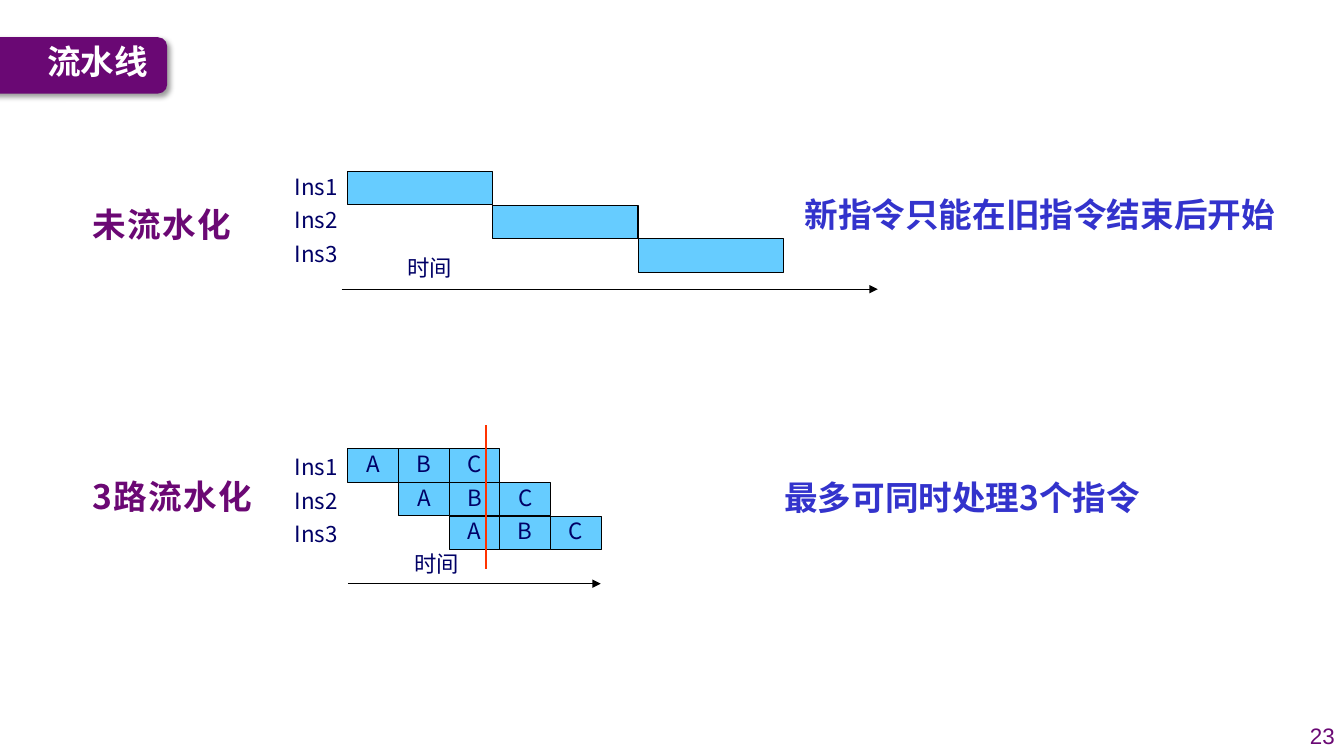
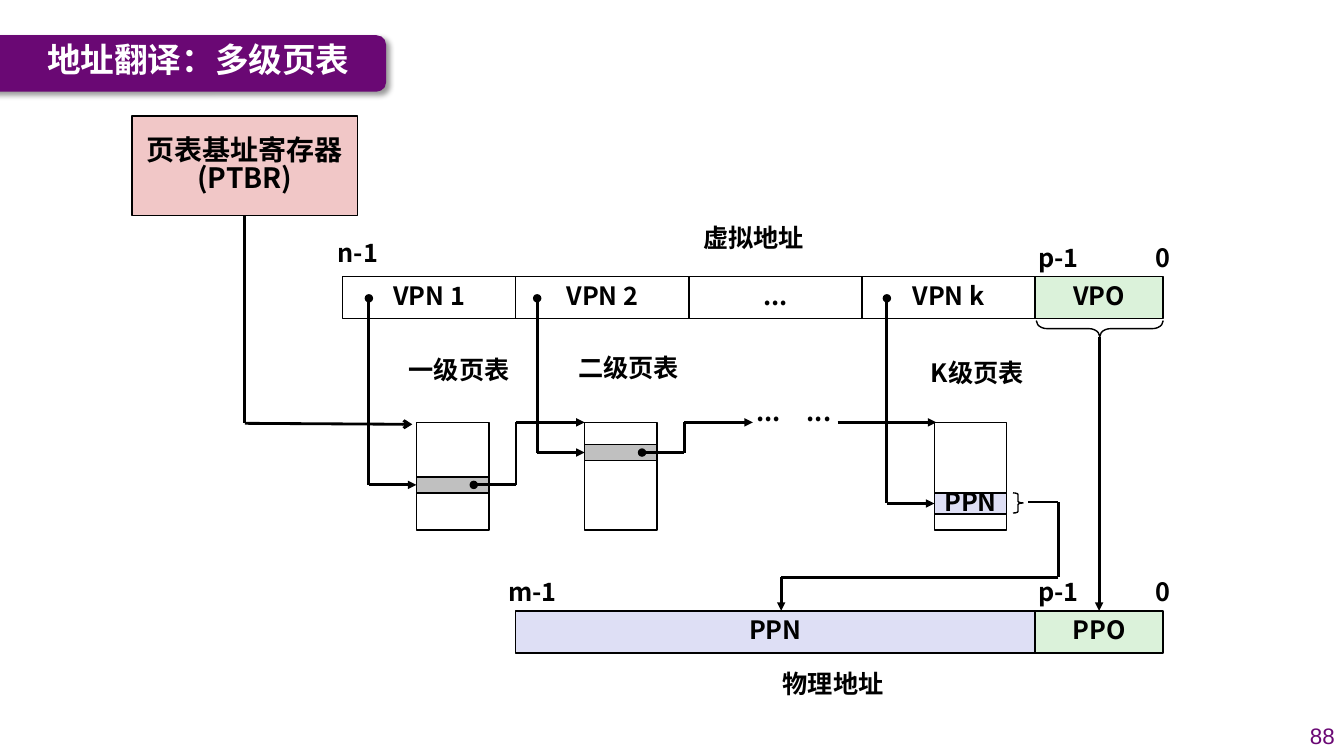
from dataclasses import dataclass
from itertools import pairwise
from typing import Optional

from pptx import Presentation
from pptx.dml.color import RGBColor
from pptx.enum.shapes import MSO_CONNECTOR, MSO_SHAPE
from pptx.enum.text import MSO_ANCHOR, PP_ALIGN
from pptx.oxml import parse_xml
from pptx.oxml.ns import nsdecls, qn
from pptx.oxml.xmlchemy import OxmlElement
from pptx.shapes.autoshape import Shape
from pptx.slide import Slide
from pptx.util import Pt

PURPLE = RGBColor(0x6A, 0x08, 0x74)
HEADING = RGBColor(0x6B, 0x08, 0x74)
WHITE = RGBColor(0xFF, 0xFF, 0xFF)
BLACK = RGBColor(0x00, 0x00, 0x00)
NAVY = RGBColor(0x00, 0x00, 0x66)
BLUE = RGBColor(0x33, 0x33, 0xCC)
SKY = RGBColor(0x66, 0xCC, 0xFF)
RED = RGBColor(0xFF, 0x33, 0x00)
PINK = RGBColor(0xF1, 0xC7, 0xC7)
GREEN = RGBColor(0xDB, 0xF2, 0xDA)
LAVENDER = RGBColor(0xDE, 0xDF, 0xF5)
GRAY = RGBColor(0xC0, 0xC0, 0xC0)
CJK = "Noto Sans CJK SC"
LATIN = "Arial"
CJK_LINE_SPACING = 0.85


@dataclass(frozen=True)
class Style:
    size: float
    color: RGBColor
    bold: bool = True
    align: PP_ALIGN = PP_ALIGN.CENTER
    anchor: MSO_ANCHOR = MSO_ANCHOR.MIDDLE
    wrap: bool = False
    font: str = CJK
    tracking: float = 0
    indent: float = 0


@dataclass(frozen=True)
class Box:
    left: float
    top: float
    width: float
    height: float

    @property
    def middle(self) -> float:
        return self.top + self.height / 2


@dataclass(frozen=True)
class Pipeline:
    heading: str
    heading_top: float
    remark: str
    remark_at: Box
    stages: tuple[str, ...]
    stage_width: float
    stage_top: float
    label_top: float
    axis_start: float
    axis_end: float
    axis_y: float
    time_at: Box


@dataclass(frozen=True)
class PageTable:
    caption: str
    caption_at: Box
    left: float
    entry_top: float
    entry_height: float
    entry_fill: RGBColor
    entry_text: str = ""


TITLE = Style(24, WHITE, align=PP_ALIGN.LEFT)
NUMBER = Style(16, PURPLE, bold=False, align=PP_ALIGN.RIGHT, font=LATIN)
STAGE = Style(16, NAVY, bold=False)
INSTRUCTION = Style(16, NAVY, bold=False, align=PP_ALIGN.RIGHT)
TIME = Style(16, NAVY, bold=False, anchor=MSO_ANCHOR.TOP)
SECTION = Style(24, HEADING, align=PP_ALIGN.LEFT, anchor=MSO_ANCHOR.TOP, wrap=True, tracking=1)
REMARK = Style(24, BLUE, align=PP_ALIGN.LEFT, anchor=MSO_ANCHOR.TOP, wrap=True, indent=36)
REGISTER = Style(20, BLACK, wrap=True)
ADDRESS = Style(18, BLACK)

AXIS_LEFT = 248.4
ROW_PITCH = 24.15
FIELD_LEFT, FIELD_PITCH, FIELD_HEIGHT = 244.8, 123.65, 30.2
OFFSET_LEFT, OFFSET_WIDTH = 739.4, 91.4
VIRTUAL_TOP, PHYSICAL_TOP = 197.3, 436.3
TABLE_TOP, TABLE_WIDTH, TABLE_HEIGHT = 301.7, 51.8, 77

PIPELINES = (
    Pipeline("未流水化", 146.9, "新指令只能在旧指令结束后开始", Box(531.4, 139.7, 404.6, 36),
             ("",), 103.7, 122.4, 122.4, 244, 627, 206.6, Box(283.7, 180.7, 46.8, 26.6)),
    Pipeline("3路流水化", 340.6, "最多可同时处理3个指令", Box(517, 341.3, 404.6, 36),
             ("A", "B", "C"), 36.2, 320.4, 322.6, 248.4, 429.1, 416.9,
             Box(288.7, 392.4, 46.8, 26.6)),
)

PAGE_TABLES = (
    PageTable("一级页表", Box(272.9, 247, 110.2, 36.7), 297.4, 340.6, 11.5, GRAY),
    PageTable("二级页表", Box(393.8, 245.5, 110.2, 36.7), 417.6, 317.5, 11.5, GRAY),
    PageTable("K级页表", Box(646.6, 249.1, 103, 36.7), 667.4, 352.1, 15.1, LAVENDER, "PPN"),
)


def write(shape: Shape, text: str, style: Style) -> None:
    frame = shape.text_frame
    frame.text = text
    frame.word_wrap = style.wrap
    frame.vertical_anchor = style.anchor
    frame.margin_left = Pt(7.2 + style.indent)
    paragraph = frame.paragraphs[0]
    paragraph.alignment = style.align
    if style.font == CJK:
        paragraph.line_spacing = CJK_LINE_SPACING
    for run in paragraph.runs:
        run.font.name = style.font
        run.font.size = Pt(style.size)
        run.font.bold = style.bold
        run.font.color.rgb = style.color
        properties = run.font._element
        east_asian = OxmlElement("a:ea")
        east_asian.set("typeface", style.font)
        properties.find(qn("a:latin")).addnext(east_asian)
        if style.tracking:
            properties.set("spc", str(int(style.tracking * 100)))


def add_label(slide: Slide, box: Box, text: str, style: Style) -> None:
    label = slide.shapes.add_textbox(Pt(box.left), Pt(box.top), Pt(box.width), Pt(box.height))
    write(label, text, style)


def add_block(slide: Slide, box: Box, fill: Optional[RGBColor] = None, line: float = 1,
              text: str = "", style: Style = ADDRESS,
              outline: MSO_SHAPE = MSO_SHAPE.RECTANGLE) -> Shape:
    block = slide.shapes.add_shape(outline, Pt(box.left), Pt(box.top), Pt(box.width), Pt(box.height))
    if fill is None:
        block.fill.background()
    else:
        block.fill.solid()
        block.fill.fore_color.rgb = fill
    if line:
        block.line.color.rgb = BLACK
        block.line.width = Pt(line)
    else:
        block.line.fill.background()
    block.shadow.inherit = False
    if text:
        write(block, text, style)
    return block


def add_route(slide: Slide, points: list[tuple[float, float]], width: float = 2,
              color: RGBColor = BLACK, head: str = "", tail: str = "",
              source: Optional[tuple[Shape, int]] = None,
              target: Optional[tuple[Shape, int]] = None) -> None:
    segments = list(pairwise(points))
    for index, (start, end) in enumerate(segments):
        first, last = index == 0, index == len(segments) - 1
        segment = slide.shapes.add_connector(
            MSO_CONNECTOR.STRAIGHT, *(Pt(value) for value in (*start, *end)))
        segment.line.color.rgb = color
        segment.line.width = Pt(width)
        properties = segment._element.spPr
        for tag, kind, wanted in (("a:headEnd", head, first), ("a:tailEnd", tail, last)):
            if kind and wanted:
                tip = OxmlElement(tag)
                tip.set("type", kind)
                properties.find(qn("a:ln")).append(tip)
        properties.append(OxmlElement("a:effectLst"))
        if source and first:
            segment.begin_connect(*source)
        if target and last:
            segment.end_connect(*target)


def add_frame(slide: Slide, title: str, tab: Box, title_width: float, number: str) -> None:
    banner = add_block(slide, tab, PURPLE, 0, outline=MSO_SHAPE.ROUNDED_RECTANGLE)
    banner._element.spPr.find(qn("a:effectLst")).append(parse_xml(
        f'<a:outerShdw {nsdecls("a")} blurRad="{Pt(4)}" dist="{Pt(3)}" dir="2700000" '
        'algn="tl" rotWithShape="0"><a:srgbClr val="000000"><a:alpha val="40000"/>'
        '</a:srgbClr></a:outerShdw>'))
    add_label(slide, Box(26.6, tab.top - 0.4, title_width, 39.6), title, TITLE)
    add_label(slide, Box(920.9, 511.2, 39.6, 28.8), number, NUMBER)


def add_pipeline(slide: Slide, pipeline: Pipeline) -> None:
    add_route(slide, [(pipeline.axis_start, pipeline.axis_y), (pipeline.axis_end, pipeline.axis_y)],
              width=1, tail="triangle")
    add_label(slide, pipeline.time_at, "时间", TIME)
    for row in range(3):
        drop = row * ROW_PITCH
        add_block(slide, Box(198.7, pipeline.label_top + drop, 49.7, 24), WHITE, 0,
                  f"Ins{row + 1}", INSTRUCTION)
        for column, stage in enumerate(pipeline.stages, start=row):
            left = AXIS_LEFT + column * pipeline.stage_width
            add_block(slide, Box(left, pipeline.stage_top + drop, pipeline.stage_width, 24),
                      SKY, 0.75, stage, STAGE)
    add_label(slide, Box(59, pipeline.heading_top, 131, 36), pipeline.heading, SECTION)
    add_label(slide, pipeline.remark_at, pipeline.remark, REMARK)


def add_page_table(slide: Slide, table: PageTable) -> None:
    add_block(slide, Box(table.left, TABLE_TOP, TABLE_WIDTH, TABLE_HEIGHT))
    place = Box(table.left, table.entry_top, TABLE_WIDTH, table.entry_height)
    entry = add_block(slide, place, table.entry_fill, text=table.entry_text)
    turn = table.left - 33.9
    add_route(slide, [(turn, 213.1), (turn, place.middle), (table.left, place.middle)],
              head="oval", tail="triangle", target=(entry, 1))
    if not table.entry_text:
        rise = table.left + 71.2
        add_route(slide, [(table.left + 41, place.middle), (rise, place.middle),
                          (rise, TABLE_TOP), (rise + 49, TABLE_TOP)],
                  head="oval", tail="triangle")
    add_label(slide, table.caption_at, table.caption, ADDRESS)


def build_pipeline_slide(slide: Slide) -> None:
    add_frame(slide, "流水线", Box(-56.2, 26.6, 175.7, 40.3), 90.7, "23")
    for pipeline in PIPELINES:
        add_pipeline(slide, pipeline)
    add_route(slide, [(347, 303.8), (347, 406.1)], width=1.5, color=RED)


def build_translation_slide(slide: Slide) -> None:
    register = add_block(slide, Box(94.3, 82.8, 161.3, 71.3), PINK,
                         text="页表基址寄存器 (PTBR)", style=REGISTER)
    add_route(slide, [(174.95, 154.1), (174.95, 302.4), (294.5, 303.1)], tail="arrow",
              source=(register, 2))

    for index, field in enumerate(("VPN 1", "VPN 2", "...", "VPN k")):
        left = FIELD_LEFT + index * FIELD_PITCH
        add_block(slide, Box(left, VIRTUAL_TOP, FIELD_PITCH, FIELD_HEIGHT), text=field)
    physical_left = FIELD_LEFT + FIELD_PITCH
    add_block(slide, Box(physical_left, PHYSICAL_TOP, OFFSET_LEFT - physical_left, FIELD_HEIGHT),
              LAVENDER, text="PPN")
    _, physical_offset = (
        add_block(slide, Box(OFFSET_LEFT, top, OFFSET_WIDTH, FIELD_HEIGHT), GREEN, text=name)
        for top, name in ((VIRTUAL_TOP, "VPO"), (PHYSICAL_TOP, "PPO")))

    for table in PAGE_TABLES:
        add_page_table(slide, table)
    add_route(slide, [(598.3, TABLE_TOP), (668.9, TABLE_TOP)], tail="triangle")

    for text, left, top, width in (
            ("n-1", 226.8, 163.4, 57.6), ("p-1", 727.2, 167, 57.6), ("0", 814.3, 167, 32.4),
            ("m-1", 347.8, 406.1, 64.8), ("p-1", 727.2, 406.1, 57.6), ("0", 814.3, 406.1, 32.4),
            ("虚拟地址", 483.1, 152.6, 110.2), ("物理地址", 540, 471.6, 110.2),
            ("...", 529.9, 277.2, 38.2), ("...", 565.9, 277.2, 38.2)):
        add_label(slide, Box(left, top, width, 36.7), text, ADDRESS)

    offset_middle = OFFSET_LEFT + OFFSET_WIDTH / 2
    add_route(slide, [(offset_middle, 240.5), (offset_middle, PHYSICAL_TOP)], tail="triangle",
              target=(physical_offset, 0))
    add_route(slide, [(734.4, 358.6), (756, 358.6), (756, 412.3), (558, 412.3),
                      (558, PHYSICAL_TOP)], tail="triangle")
    for place, curve, turn in ((Box(779.8, 189.4, 11.5, 90.7), 0.676, 90),
                               (Box(723.6, 352.1, 7.2, 14.4), 0.16, 0)):
        brace = add_block(slide, place, outline=MSO_SHAPE.RIGHT_BRACE)
        brace.adjustments[0] = curve
        brace.adjustments[1] = 0.5
        brace.rotation = turn

    add_frame(slide, "地址翻译：多级页表", Box(-14.4, 25.2, 290.2, 40.3), 235.4, "88")


def main() -> None:
    deck = Presentation()
    deck.slide_width, deck.slide_height = Pt(960), Pt(540)
    for build in (build_pipeline_slide, build_translation_slide):
        build(deck.slides.add_slide(deck.slide_layouts[6]))
    deck.save("out.pptx")


if __name__ == "__main__":
    main()
